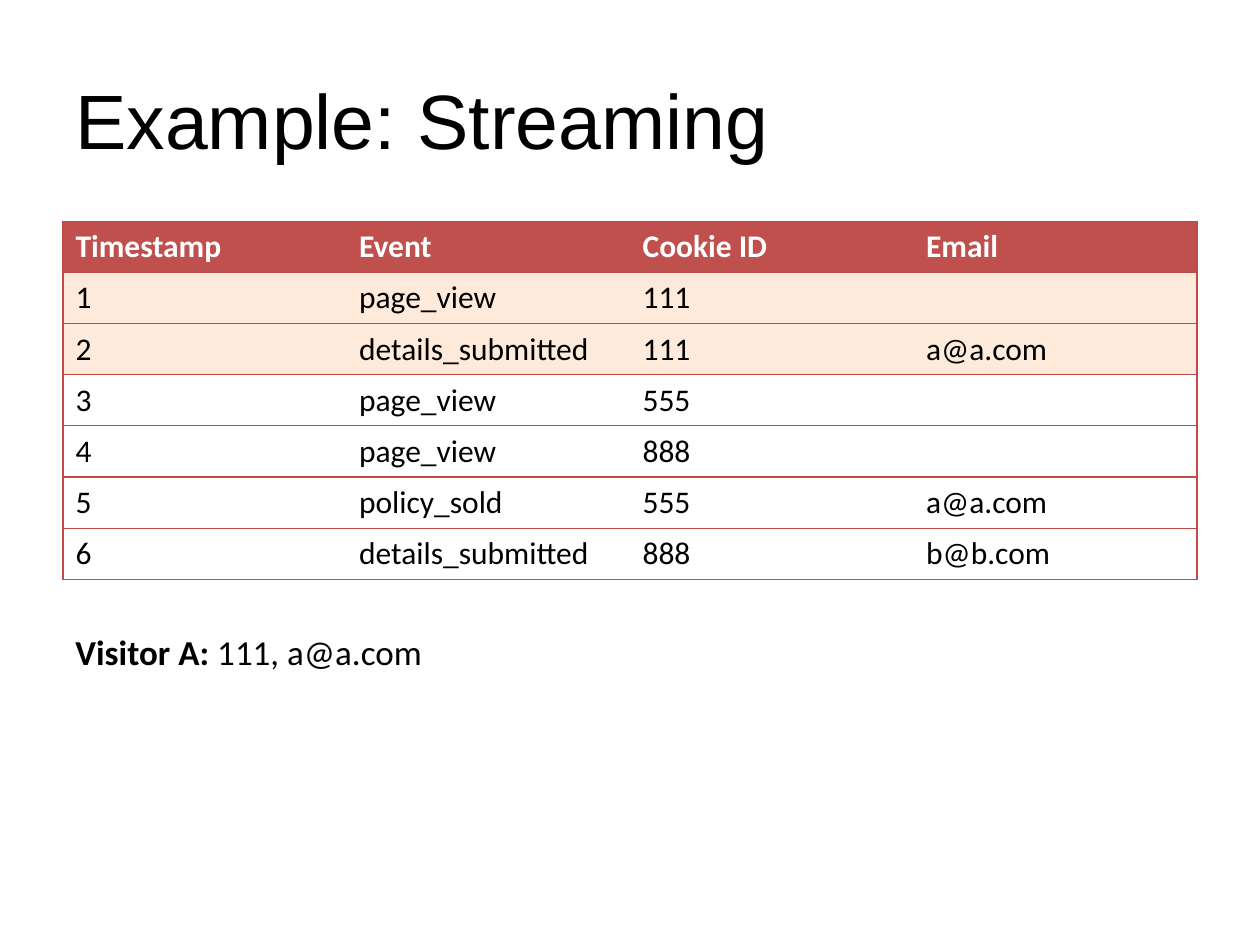
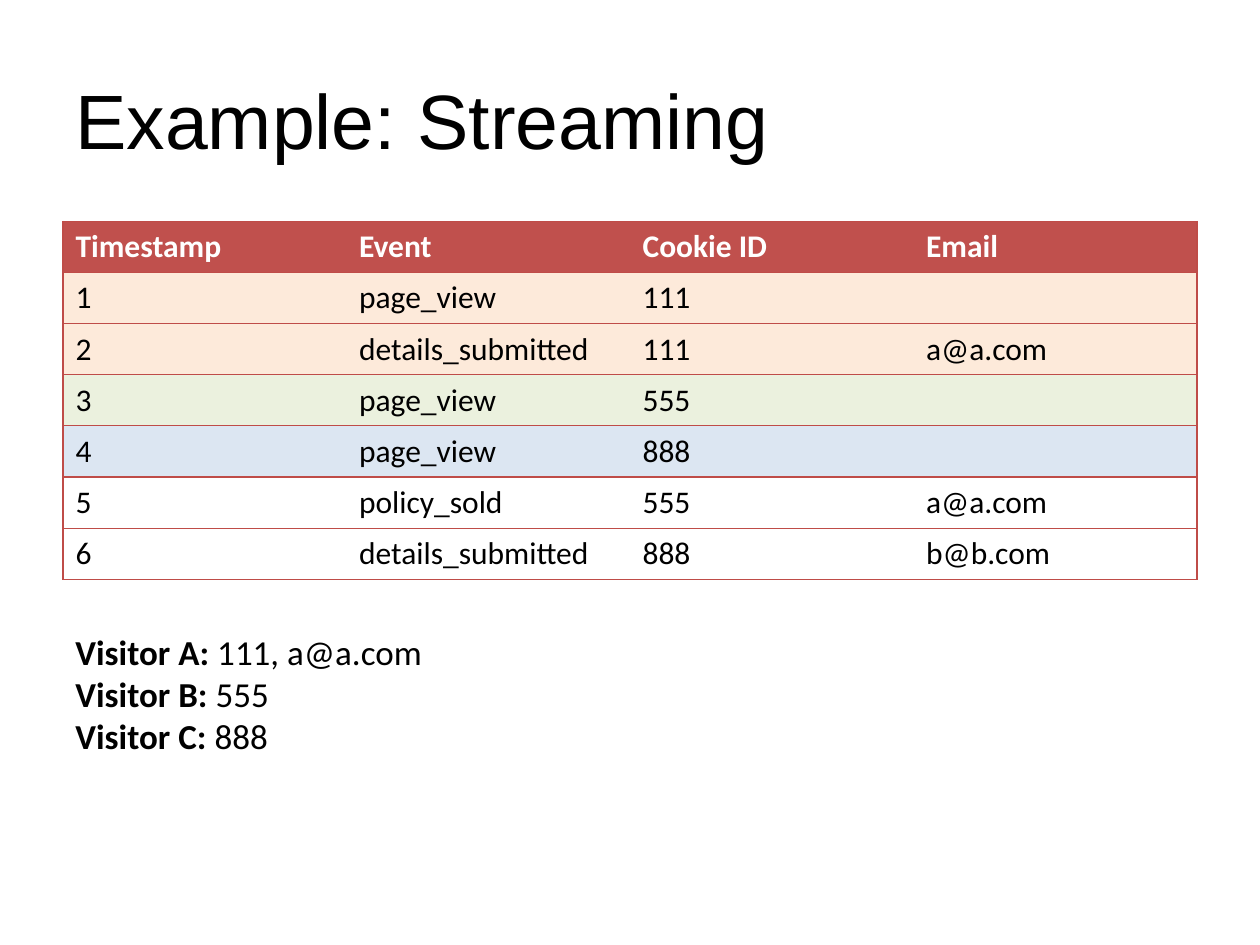
from lxml import etree
from pptx import Presentation
from pptx import util as u
from pptx.dml.color import RGBColor
from pptx.enum import text
from pptx.oxml import ns

COLORS = {
    "ink": "000000", "white": "FFFFFF", "header": "C0504D", "rule": "BF4C48",
    "A": "FDEADA", "B": "EBF1DE", "C": "DCE6F2",
}
HEADINGS = ("Timestamp", "Event", "Cookie ID", "Email")
EVENTS = (
    ("1", "page_view", "111", ""),
    ("2", "details_submitted", "111", "a@a.com"),
    ("3", "page_view", "555", ""),
    ("4", "page_view", "888", ""),
    ("5", "policy_sold", "555", "a@a.com"),
    ("6", "details_submitted", "888", "b@b.com"),
)
TITLE_BOX = (36, 30, 648, 84)
TABLE_BOX = (36, 126.6, 648, 204.4)
VISITORS_LEFT, VISITORS_TOP, VISITORS_WIDTH = 36, 357, 214.6


def color(name):
    """Return the named palette colour."""
    return RGBColor.from_string(COLORS[name])


def style(r, size, font="Calibri", bold=False, ink="ink"):
    """Format one run."""
    r.font.size = u.Pt(size)
    r.font.name = font
    r.font.bold = bold
    r.font.color.rgb = color(ink)


def set_borders(cell, sides):
    """Rule the given sides of a cell and clear the others."""
    tc_pr = cell._tc.get_or_add_tcPr()
    for i, side in enumerate("LRTB"):
        ln = etree.Element(ns.qn(f"a:ln{side}"), w=str(u.Pt(0.75)))
        if side in sides:
            fill = etree.SubElement(ln, ns.qn("a:solidFill"))
            etree.SubElement(fill, ns.qn("a:srgbClr"), val=COLORS["rule"])
        else:
            etree.SubElement(ln, ns.qn("a:noFill"))
        tc_pr.insert(i, ln)


def add_title(s, box, title):
    """Add the slide title, centred vertically in its box."""
    tf = s.shapes.add_textbox(*map(u.Pt, box)).text_frame
    tf.word_wrap = True
    tf.vertical_anchor = text.MSO_ANCHOR.MIDDLE
    tf.text = title
    p = tf.paragraphs[0]
    p.line_spacing = u.Pt(44)
    style(p.runs[0], 44, "Arial")


def add_events(s, box, row_visitors):
    """Add the event table, tinting each row by the visitor it belongs to."""
    rows = (HEADINGS,) + EVENTS
    fills = ["header", *row_visitors]
    table = s.shapes.add_table(len(rows), len(HEADINGS), *map(u.Pt, box)).table
    table.horz_banding = False
    for row in table.rows:
        row.height = u.Pt(box[3] / len(rows))
    for i, values in enumerate(rows):
        for j, value in enumerate(values):
            cell = table.cell(i, j)
            cell.text = value
            for r in cell.text_frame.paragraphs[0].runs:
                style(r, 18, bold=i == 0, ink="ink" if i else "white")
            if i < len(fills):
                cell.fill.solid()
                cell.fill.fore_color.rgb = color(fills[i])
            else:
                cell.fill.background()
            outer = {0: "L", len(values) - 1: "R"}.get(j, "")
            set_borders(cell, "TB" + outer)


def add_visitors(s, box, visitors):
    """List each known visitor with the identifiers linked so far."""
    tf = s.shapes.add_textbox(*map(u.Pt, box)).text_frame
    tf.word_wrap = True
    for i, (name, ids) in enumerate(visitors):
        p = tf.add_paragraph() if i else tf.paragraphs[0]
        for words, bold in ((f"Visitor {name}:", True), (f" {ids}", False)):
            r = p.add_run()
            r.text = words
            style(r, 20, bold=bold)


def add_streaming_slide(prs, row_visitors, visitors, list_height):
    """Build one step of the streaming example."""
    s = prs.slides.add_slide(prs.slide_layouts[6])
    add_title(s, TITLE_BOX, "Example: Streaming")
    add_events(s, TABLE_BOX, row_visitors)
    list_box = (VISITORS_LEFT, VISITORS_TOP, VISITORS_WIDTH, list_height)
    add_visitors(s, list_box, visitors)


def main():
    """Build and save the deck."""
    prs = Presentation()
    prs.slide_width, prs.slide_height = u.Pt(720), u.Pt(540)
    visitors = (("A", "111, a@a.com"), ("B", "555"), ("C", "888"))
    add_streaming_slide(prs, "AA", visitors[:1], 31.6)
    add_streaming_slide(prs, "AABC", visitors, 104.4)
    prs.save("out.pptx")


if __name__ == "__main__":
    main()
